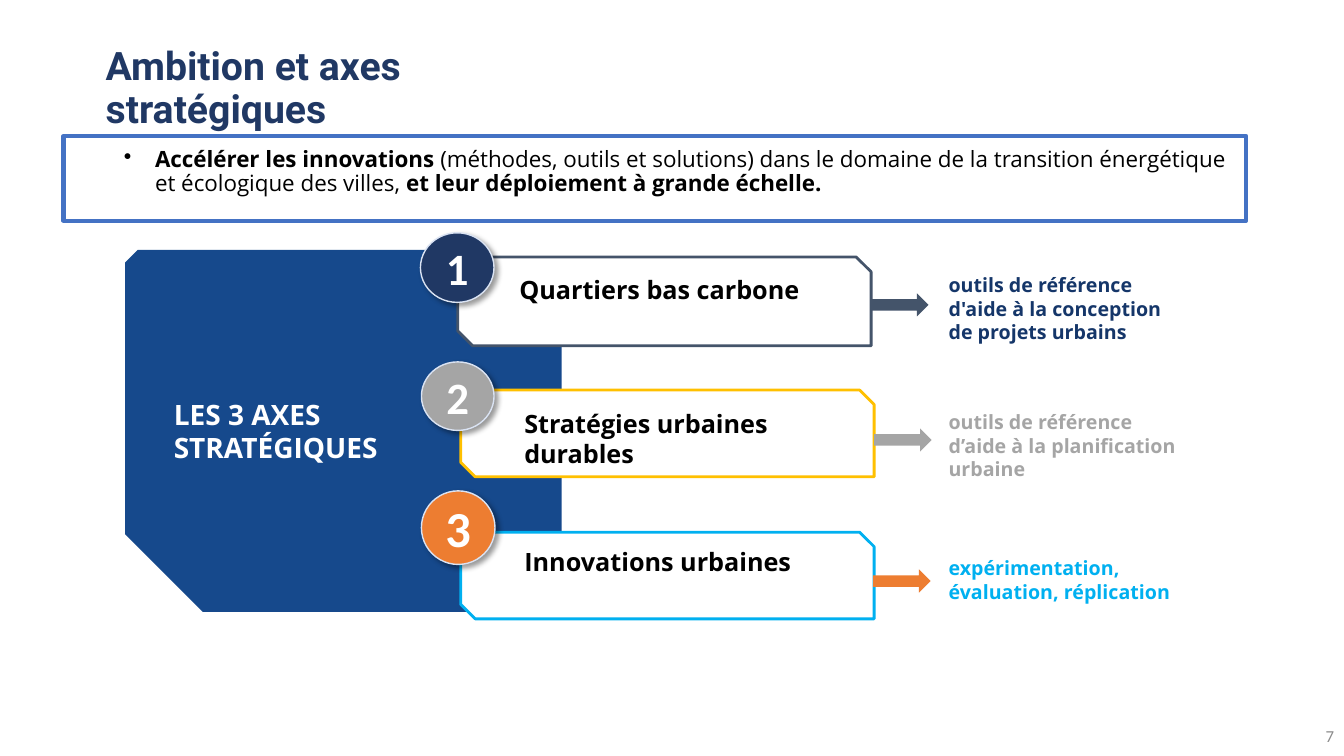
from lxml import etree
from pptx import Presentation, util as u
from pptx.dml.color import RGBColor
from pptx.enum import shapes, text
from pptx.oxml import ns

kinds = shapes.MSO_SHAPE
deck = Presentation()
deck.slide_width, deck.slide_height = u.Inches(13.33), u.Inches(7.5)
slide = deck.slides.add_slide(deck.slide_layouts[6])


def draw(kind, at, fill=None, line=None, width=1):
    """Add a preset shape, or a text box when kind is None."""
    box = [u.Inches(n) for n in at]
    if kind is None:
        shape = slide.shapes.add_textbox(*box)
    else:
        shape = slide.shapes.add_shape(kind, *box)
        shape.shadow.inherit = False
        shape.fill.solid()
        shape.fill.fore_color.rgb = RGBColor.from_string(fill)
        if line:
            shape.line.color.rgb = RGBColor.from_string(line)
            shape.line.width = u.Pt(width)
        else:
            shape.line.fill.background()
    shape.text_frame.word_wrap = True
    return shape


def write(shape, lines, size, color, face="Open Sans", bold=True,
          align=text.PP_ALIGN.LEFT, anchor=text.MSO_ANCHOR.TOP):
    """Fill a shape with one paragraph per line."""
    frame = shape.text_frame
    frame.vertical_anchor = anchor
    for i, words in enumerate(lines):
        para = frame.paragraphs[0] if i == 0 else frame.add_paragraph()
        para.add_run().text = words
        para.alignment = align
        font = para.font
        font.name, font.size, font.bold = face, u.Pt(size), bold
        font.color.rgb = RGBColor.from_string(color)
    return frame


mid = text.MSO_ANCHOR.MIDDLE

# Blue panel behind the axes
panel = draw(kinds.SNIP_2_DIAG_RECTANGLE, (1.24, 2.48, 4.33, 3.59), "16498C")
panel.adjustments[0], panel.adjustments[1] = 0.035, 0.215
frame = write(panel, ["LES 3 AXES STRATÉGIQUES"], 20, "FFFFFF", anchor=mid)
frame.margin_top = frame.margin_bottom = u.Inches(0.1)

# Title and page number
title = draw(None, (0.95, 0.45, 5.17, 0.87))
frame = write(title, ["Ambition et axes stratégiques"], 28, "203864", "Roboto", anchor=mid)
frame.paragraphs[0].line_spacing = 0.9
page = draw(None, (12.89, 7.09, 0.44, 0.41))
write(page, ["7"], 12, "8C8C8C", "Calibri", False, text.PP_ALIGN.RIGHT, mid)

# Axes: card, number disc, label, arrow, outcome
axes = [
    dict(card=(4.54, 2.55, 4.1, 0.88), edge="44546A",
         disc=(4.17, 2.31, 0.73, 0.69), tint="203864", size=32,
         label=(4.05, 2.67, 4.38, 0.4), name="Quartiers bas carbone",
         arrow=(8.64, 2.91), tip="44546A",
         note=(9.31, 2.66, 2.71, 0.81), ink="153669",
         goal=["outils de référence d'aide\u00a0à la conception\u00a0", "de projets urbains"]),
    dict(card=(4.57, 3.87, 4.1, 0.86), edge="FFC000",
         disc=(4.18, 3.59, 0.72, 0.68), tint="A5A5A5", size=32,
         label=(4.1, 4, 4.56, 0.74), name="Stratégies urbaines durables",
         arrow=(8.67, 4.25), tip="A5A5A5",
         note=(9.31, 4.02, 2.71, 0.81), ink="A5A5A5",
         goal=["outils de référence d’aide\u00a0à la planification urbaine"]),
    dict(card=(4.57, 5.28, 4.1, 0.86), edge="00B0F0",
         disc=(4.18, 4.87, 0.73, 0.73), tint="ED7D31", size=36,
         label=(4.1, 5.37, 4.38, 0.4), name="Innovations urbaines",
         arrow=(8.66, 5.65), tip="ED7D31",
         note=(9.31, 5.47, 2.82, 0.57), ink="00B0F0",
         goal=["expérimentation, évaluation, réplication"]),
]
shade = (f'<a:outerShdw {ns.nsdecls("a")} blurRad="50800" dist="38100" dir="2700000" '
         'algn="tl" rotWithShape="0"><a:srgbClr val="000000"><a:alpha val="40000"/>'
         '</a:srgbClr></a:outerShdw>')
for num, axis in enumerate(axes, 1):
    card = draw(kinds.SNIP_2_DIAG_RECTANGLE, axis["card"], "FFFFFF", axis["edge"], 2)
    card.adjustments[0], card.adjustments[1] = 0, 0.167

    disc = draw(kinds.OVAL, axis["disc"], axis["tint"], "DAE3F3")
    disc.element.spPr.find(ns.qn("a:effectLst")).append(etree.fromstring(shade))
    write(disc, [str(num)], axis["size"], "FFFFFF", "Calibri",
          align=text.PP_ALIGN.CENTER, anchor=mid)

    frame = write(draw(None, axis["label"]), [axis["name"]], 18, "000000")
    frame.margin_left = u.Inches(1.1)
    draw(kinds.RIGHT_ARROW, (*axis["arrow"], 0.57, 0.23), axis["tip"])
    write(draw(None, axis["note"]), axis["goal"], 14, axis["ink"])

# Framed ambition with a bullet
ambit = draw(kinds.RECTANGLE, (0.63, 1.35, 11.73, 0.84), "FFFFFF", "4472C4", 3)
frame = write(ambit, ["Accélérer les innovations "], 16, "000000", bold=None)
frame.margin_top = u.Inches(0.12)
para = frame.paragraphs[0]
para.line_spacing = 0.9
para.add_run().text = ("(méthodes, outils et solutions) dans le domaine de la transition "
                       "énergétique et écologique des villes, ")
para.add_run().text = "et leur déploiement à grande échelle."
for run, bold in zip(para.runs, (True, False, True)):
    run.font.bold = bold
props = para._p.get_or_add_pPr()
props.set("marL", str(u.Inches(0.81)))
props.set("indent", str(u.Inches(-0.31)))
mark = etree.fromstring(f'<a:buChar {ns.nsdecls("a")} char="•"/>')
props.find(ns.qn("a:lnSpc")).addnext(mark)

deck.save("out.pptx")
